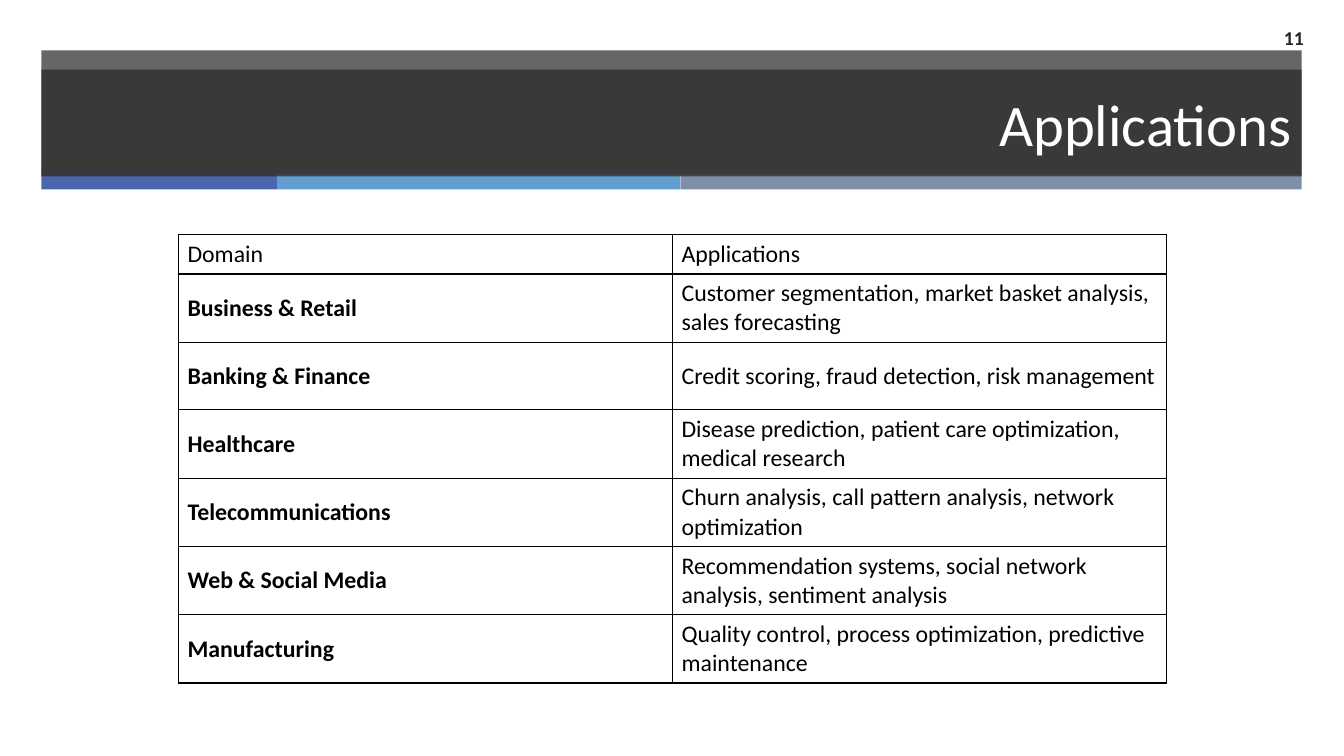
from lxml.etree import SubElement
from pptx import Presentation
from pptx.dml.color import RGBColor
from pptx.enum.shapes import MSO_SHAPE as Shape
from pptx.enum.text import MSO_ANCHOR as Anchor, PP_ALIGN as Align
from pptx.oxml.ns import qn
from pptx.util import Inches, Pt

FONT = "Calibri"
COLORS = {
    "page": "FFFFFF",
    "band": "262626",
    "blue": "4A66AC",
    "sky": "629DD1",
    "slate": "7F8FA9",
    "title": "FFFFFF",
    "ink": "000000",
}
DOMAINS = [
    ("Domain", "Applications"),
    ("Business & Retail", "Customer segmentation, market basket analysis, sales forecasting"),
    ("Banking & Finance", "Credit scoring, fraud detection, risk management"),
    ("Healthcare", "Disease prediction, patient care optimization, medical research"),
    ("Telecommunications", "Churn analysis, call pattern analysis, network optimization"),
    ("Web & Social Media", "Recommendation systems, social network analysis, sentiment analysis"),
    ("Manufacturing", "Quality control, process optimization, predictive maintenance"),
]


def rgb(name):
    return RGBColor.from_string(COLORS[name])


def write(frame, text, size, color, bold=False, align=Align.LEFT):
    frame.word_wrap = True
    frame.vertical_anchor = Anchor.MIDDLE
    paragraph = frame.paragraphs[0]
    paragraph.text = text
    paragraph.alignment = align
    paragraph.font.name = FONT
    paragraph.font.size = Pt(size)
    paragraph.font.bold = bold
    paragraph.font.color.rgb = rgb(color)


def add_block(slide, left, top, width, height, color, opacity=100):
    block = slide.shapes.add_shape(
        Shape.RECTANGLE, Inches(left), Inches(top), Inches(width), Inches(height))
    block.shadow.inherit = False
    block.line.fill.background()
    block.fill.solid()
    block.fill.fore_color.rgb = rgb(color)
    if opacity < 100:
        tint = block.fill._xPr.find(qn("a:solidFill"))[0]
        SubElement(tint, qn("a:alpha"), val=str(opacity * 1000))
    return block


def add_header(slide, left, top, width, title):
    add_block(slide, left, top, width, 1.24, "band", 70)
    strip_left = left
    for color, strip_width in (("blue", 2.34), ("sky", 4), ("slate", width - 6.34)):
        add_block(slide, strip_left, top + 1.23, strip_width, 0.15, color)
        strip_left += strip_width
    banner = add_block(slide, left, top + 0.19, width, 1.06, "band", 70)
    write(banner.text_frame, title, 42, "title", align=Align.RIGHT)


def add_borders(cell, color, points):
    properties = cell._tc.get_or_add_tcPr()
    for position, side in enumerate(("lnL", "lnR", "lnT", "lnB")):
        line = SubElement(properties, qn(f"a:{side}"), w=str(Pt(points)))
        fill = SubElement(line, qn("a:solidFill"))
        SubElement(fill, qn("a:srgbClr"), val=COLORS[color])
        properties.insert(position, line)


def add_domain_table(slide, left, top, width, head_height, row_height):
    height = head_height + row_height * (len(DOMAINS) - 1)
    table = slide.shapes.add_table(
        len(DOMAINS), 2, Inches(left), Inches(top), Inches(width), Inches(height)).table
    table.first_row = False
    table.horz_banding = False
    for column in table.columns:
        column.width = Inches(width / 2)
    for row_index, entry in enumerate(DOMAINS):
        table.rows[row_index].height = Inches(row_height if row_index else head_height)
        for column_index, text in enumerate(entry):
            cell = table.cell(row_index, column_index)
            cell.margin_left = cell.margin_right = Inches(0.09)
            cell.margin_top = cell.margin_bottom = Inches(0.05)
            cell.vertical_anchor = Anchor.MIDDLE
            cell.fill.background()
            add_borders(cell, "ink", 1)
            is_domain = row_index > 0 and column_index == 0
            write(cell.text_frame, text, 17, "ink", bold=is_domain)


def add_page_number(slide, left, top, width, height, number):
    page_number = slide.shapes.add_textbox(
        Inches(left), Inches(top), Inches(width), Inches(height))
    write(page_number.text_frame, number, 14, "band", bold=True, align=Align.RIGHT)


def main():
    deck = Presentation()
    deck.slide_width = Inches(13.33)
    deck.slide_height = Inches(7.5)
    slide = deck.slides.add_slide(deck.slide_layouts[6])
    slide.background.fill.solid()
    slide.background.fill.fore_color.rgb = rgb("page")
    add_header(slide, 0.41, 0.5, 12.5, "Applications")
    add_domain_table(slide, 1.77, 2.33, 9.8, 0.38, 0.67)
    add_page_number(slide, 12.11, 0.18, 0.92, 0.39, "11")
    deck.save("out.pptx")


if __name__ == "__main__":
    main()
